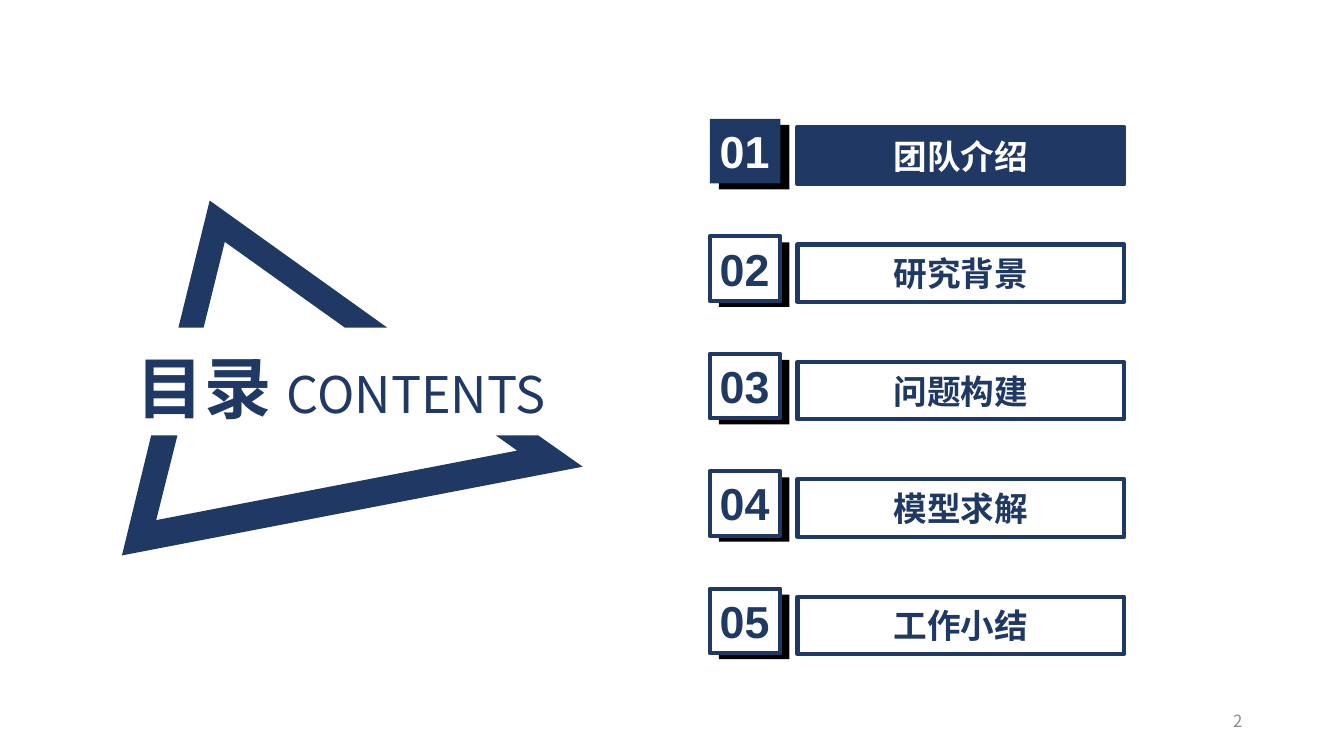
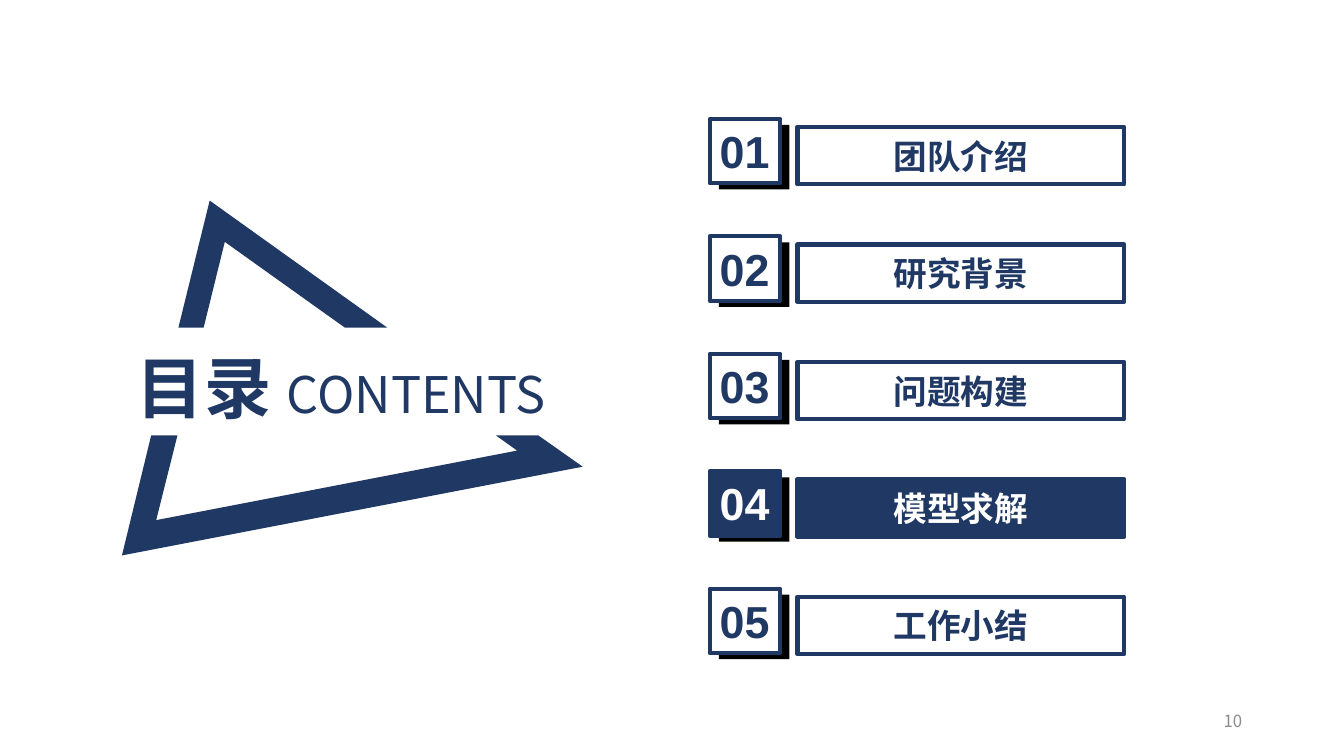
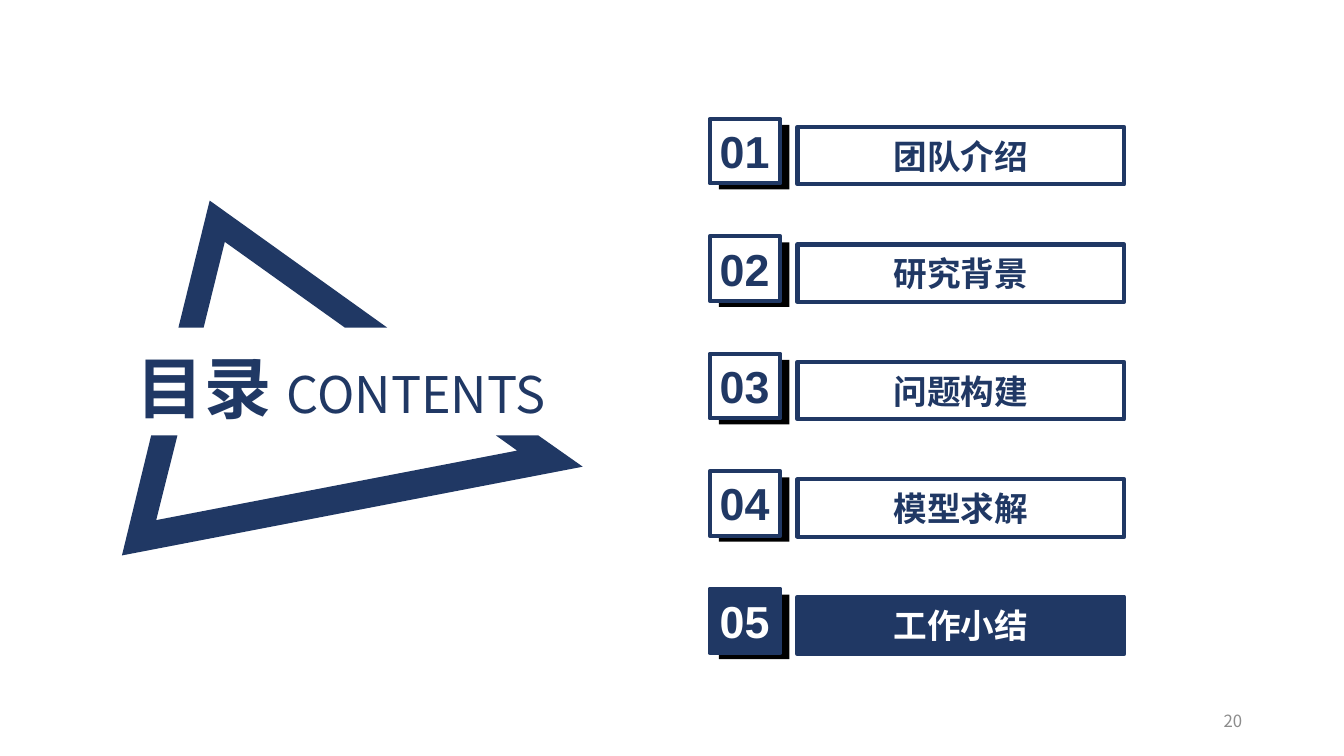
from dataclasses import dataclass

from lxml import etree
from pptx import Presentation
from pptx.dml.color import RGBColor
from pptx.enum.shapes import MSO_SHAPE
from pptx.enum.text import MSO_ANCHOR, PP_ALIGN
from pptx.oxml.ns import qn
from pptx.util import Inches, Pt

RECTANGLE = MSO_SHAPE.RECTANGLE
TOP, MIDDLE = MSO_ANCHOR.TOP, MSO_ANCHOR.MIDDLE
LEFT, CENTER, RIGHT = PP_ALIGN.LEFT, PP_ALIGN.CENTER, PP_ALIGN.RIGHT

CHAPTERS = ["团队介绍", "研究背景", "问题构建", "模型求解", "工作小结"]
PAGES = [
    {"number": 2, "current": 0, "badge_border": False},
    {"number": 10, "current": 3, "badge_border": True},
    {"number": 20, "current": 4, "badge_border": True},
]
TRIANGLE_TOP = [(2.08, 1.99), (3.84, 3.25), (3.42, 3.25), (2.23, 2.4),
                (2.02, 3.25), (1.77, 3.25)]
TRIANGLE_BOTTOM = [(1.5, 4.32), (1.76, 4.32), (1.55, 5.16), (5.13, 4.47),
                   (4.92, 4.32), (5.34, 4.32), (5.78, 4.63), (1.21, 5.51)]
FIRST_ROW, LAST_ROW = 1.18, 5.84
ROW_STEP = (LAST_ROW - FIRST_ROW) / (len(CHAPTERS) - 1)
BADGE_LEFT, BADGE_SIZE = 7.04, (0.7, 0.64)
SHADE_SHIFT = (0.09, 0.06)
BAR_LEFT, BAR_DROP, BAR_SIZE = 7.91, 0.08, (3.24, 0.57)


@dataclass(frozen=True)
class Theme:
    navy: RGBColor = RGBColor.from_string("203864")
    white: RGBColor = RGBColor.from_string("FFFFFF")
    black: RGBColor = RGBColor.from_string("000000")
    gray: RGBColor = RGBColor.from_string("8C8C8C")
    text_font: str = "Noto Sans CJK SC"
    number_font: str = "Arial"
    title: int = 48
    subtitle: int = 36
    badge: int = 32
    chapter: int = 24
    footer: int = 12
    border: int = 3


THEME = Theme()


def add_span(para, text, size, color, bold=False, font=THEME.text_font):
    span = para.add_run()
    span.text = text
    for name, value in {"size": Pt(size), "bold": bold, "name": font}.items():
        setattr(span.font, name, value)
    span.font.color.rgb = color
    etree.SubElement(span.font._element, qn("a:ea"), typeface=font)


def set_frame(box, align, anchor=MIDDLE, wrap=True):
    frame = box.text_frame
    for name, value in {"word_wrap": wrap, "vertical_anchor": anchor}.items():
        setattr(frame, name, value)
    para = frame.paragraphs[0]
    para.alignment = align
    return para


def paint(shape, fill, border=False):
    shape.shadow.inherit = False
    shape.fill.solid()
    shape.fill.fore_color.rgb = fill
    if border:
        shape.line.color.rgb = THEME.navy
        shape.line.width = Pt(THEME.border)
    else:
        shape.line.fill.background()


def add_box(group, left, top, size, fill, border=False):
    box = group.shapes.add_shape(
        RECTANGLE, *(Inches(value) for value in (left, top, *size)))
    paint(box, fill, border)
    return box


def add_outline(group, points):
    start, *others = [(Inches(x), Inches(y)) for x, y in points]
    builder = group.shapes.build_freeform(*start)
    builder.add_line_segments(others, close=True)
    paint(builder.convert_to_shape(), THEME.navy)


def add_title(page):
    group = page.shapes.add_group_shape()
    for points in (TRIANGLE_TOP, TRIANGLE_BOTTOM):
        add_outline(group, points)
    box = group.shapes.add_textbox(
        Inches(1.26), Inches(3.43), Inches(4.47), Inches(0.82))
    para = set_frame(box, LEFT)
    add_span(para, "目录 ", THEME.title, THEME.navy, bold=True)
    add_span(para, "CONTENTS", THEME.subtitle, THEME.navy)


def add_chapter(page, index, name, current, badge_border):
    top = FIRST_ROW + index * ROW_STEP
    fill, ink = (THEME.navy, THEME.white) if current else (THEME.white, THEME.navy)
    group = page.shapes.add_group_shape()
    add_box(group, BADGE_LEFT + SHADE_SHIFT[0], top + SHADE_SHIFT[1],
            BADGE_SIZE, THEME.black)
    bar = add_box(group, BAR_LEFT, top + BAR_DROP, BAR_SIZE, fill, border=True)
    add_span(set_frame(bar, CENTER), name, THEME.chapter, ink, bold=True)
    badge = add_box(group, BADGE_LEFT, top, BADGE_SIZE, fill,
                    border=badge_border or not current)
    para = set_frame(badge, LEFT, TOP, wrap=False)
    add_span(para, f"{index + 1:02}", THEME.badge, ink, bold=True,
             font=THEME.number_font)


def add_footer(page, number):
    box = page.shapes.add_textbox(
        Inches(9.42), Inches(6.95), Inches(3), Inches(0.4))
    add_span(set_frame(box, RIGHT), str(number), THEME.footer, THEME.gray)


def main():
    deck = Presentation()
    deck.slide_width, deck.slide_height = Inches(13.33), Inches(7.5)
    for content in PAGES:
        page = deck.slides.add_slide(deck.slide_layouts[6])
        add_title(page)
        for index, name in enumerate(CHAPTERS):
            add_chapter(page, index, name, index == content["current"],
                        content["badge_border"])
        add_footer(page, content["number"])
    deck.save("out.pptx")


if __name__ == "__main__":
    main()
